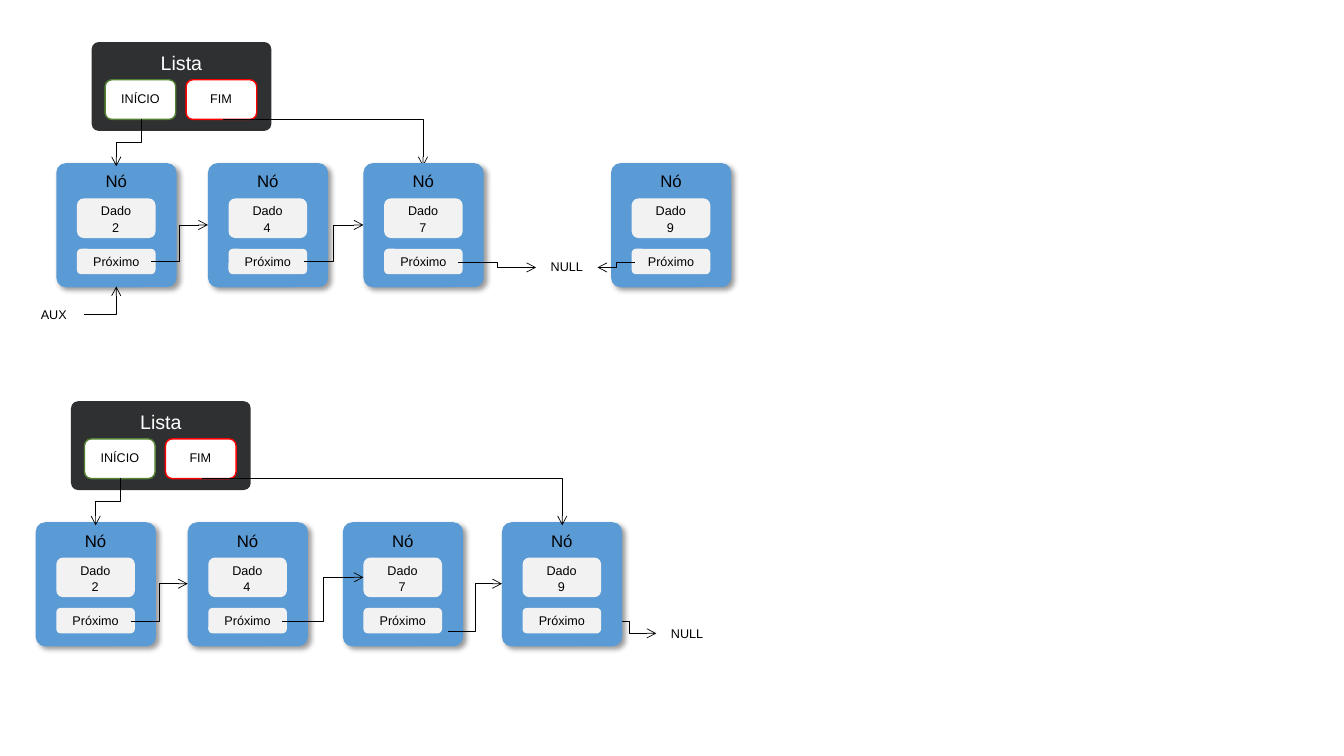
"""Build a slide of two linked lists, before and after a node is appended."""
from lxml import etree
from pptx import Presentation
from pptx import util as u
from pptx.dml.color import RGBColor
from pptx.enum import shapes as kinds, text
from pptx.oxml import parse_xml
from pptx.oxml.ns import nsdecls, qn

BLACK = RGBColor(0x00, 0x00, 0x00)
WHITE = RGBColor(0xFF, 0xFF, 0xFF)
NODE_BLUE = RGBColor(0x5B, 0x9B, 0xD5)
FIELD_GREY = RGBColor(0xF2, 0xF2, 0xF2)
LIST_DARK = RGBColor(0x2F, 0x30, 0x31)
START_GREEN = RGBColor(0x54, 0x82, 0x35)
END_RED = RGBColor(0xFF, 0x00, 0x00)

CORNER, SMALL_CORNER = 0.17, 0.08
FRAME_FORMAT = {"word_wrap": True, "auto_size": text.MSO_AUTO_SIZE.SHAPE_TO_FIT_TEXT}
NODE_SHADOW = (
    f'<a:effectLst {nsdecls("a")}>'
    '<a:outerShdw blurRad="50800" dist="38100" dir="2700000" algn="tl" rotWithShape="0">'
    '<a:srgbClr val="000000"><a:alpha val="40000"/></a:srgbClr>'
    '</a:outerShdw></a:effectLst>'
)

LIST_BOXES = [
    ((0, 0, 4.53, 2.24), LIST_DARK, None, SMALL_CORNER),
    ((2.38, 0.95, 1.78, 1), WHITE, END_RED, CORNER),
    ((0.34, 0.95, 1.78, 1), WHITE, START_GREEN, CORNER),
]
LIST_LABELS = [
    ((2.46, 1.11, 1.6, 0.64), "FIM", 9, BLACK),
    ((0.43, 1.11, 1.6, 0.64), "INÍCIO", 9, BLACK),
    ((1.39, 0.1, 1.75, 0.87), "Lista", 14, WHITE),
]
NODE_BOXES = [
    ((0, 0, 3.03, 3.13), NODE_BLUE, None, SMALL_CORNER),
    ((0.52, 2.16, 1.98, 0.64), FIELD_GREY, None, CORNER),
    ((0.52, 0.89, 1.98, 1), FIELD_GREY, None, CORNER),
]
NODE_LABELS = [
    ((0.96, 0.08, 1.1, 0.77), "Nó", 12, BLACK),
    ((0.62, 2.16, 1.78, 0.64), "Próximo", 9, BLACK),
    ((0.82, 0.89, 1.37, 0.64), "Dado", 9, BLACK),
]
FREE_LABELS = [
    ((13.51, 6.4, 1.55, 0.64), "NULL", 9, BLACK),
    ((0.58, 7.6, 1.55, 0.64), "AUX", 9, BLACK),
    ((16.54, 15.64, 1.55, 0.64), "NULL", 9, BLACK),
]
VALUES = (2, 4, 7, 9)
LISTS = [(2.31, 1.06), (1.79, 10.11)]
NODE_ROWS = [
    (4.11, (1.42, 5.24, 9.16, 15.4)),
    (13.16, (0.9, 4.73, 8.64, 12.65)),
]
LINKS_BELOW_NODES = [
    ("corner", 5.61, 3, 10.66, 4.19),
    ("step", 15.17, 15.65, 16.54, 15.96),
]
LINKS_ABOVE_NODES = [
    ("drop", 3.55, 3, 2.93, 4.19),
    ("step", 3.81, 6.6, 5.24, 5.67),
    ("step", 7.65, 6.6, 9.16, 5.67),
    ("step", 11.55, 6.6, 13.51, 6.74),
    ("step", 16, 6.6, 15.06, 6.74),
    ("corner", 2.12, 7.92, 2.93, 7.22),
    ("drop", 3.03, 12.05, 2.41, 13.24),
    ("step", 3.3, 15.65, 4.73, 14.71),
    ("step", 7.12, 15.65, 9.16, 14.55),
    ("step", 11.3, 15.92, 12.65, 14.71),
    ("corner", 5.1, 12.05, 14.17, 13.24),
]


def add_panel(shapes, left, top, boxes, labels):
    for (x, y, width, height), fill, outline, corner in boxes:
        box = shapes.add_shape(kinds.MSO_SHAPE.ROUNDED_RECTANGLE, u.Cm(left + x),
                               u.Cm(top + y), u.Cm(width), u.Cm(height))
        box.adjustments[0] = corner
        box.shadow.inherit = False
        box.fill.solid()
        box.fill.fore_color.rgb = fill
        if outline is None:
            box.line.fill.background()
        else:
            box.line.color.rgb = outline
            box.line.width = u.Pt(1)
        if fill == NODE_BLUE:
            effects = box._element.spPr.find(qn("a:effectLst"))
            effects.getparent().replace(effects, parse_xml(NODE_SHADOW))
    for (x, y, width, height), words, size, colour in labels:
        frame = shapes.add_textbox(u.Cm(left + x), u.Cm(top + y),
                                   u.Cm(width), u.Cm(height)).text_frame
        for name, value in FRAME_FORMAT.items():
            setattr(frame, name, value)
        line = frame.paragraphs[0]
        line.text = words
        line.alignment = text.PP_ALIGN.CENTER
        for name, value in {"name": "Arial", "size": u.Pt(size)}.items():
            setattr(line.runs[0].font, name, value)
        line.runs[0].font.color.rgb = colour


def add_links(shapes, links):
    for bend, x1, y1, x2, y2 in links:
        if bend == "drop":
            mid_x, mid_y = (x1 + x2) / 2, (y1 + y2) / 2
            half_run, half_rise = (y2 - y1) / 2, (x1 - x2) / 2
            x1, x2 = mid_x - half_run, mid_x + half_run
            y1, y2 = mid_y - half_rise, mid_y + half_rise
        link = shapes.add_connector(kinds.MSO_CONNECTOR.ELBOW,
                                    u.Cm(x1), u.Cm(y1), u.Cm(x2), u.Cm(y2))
        link.line.color.rgb = BLACK
        link.line.width = u.Pt(0.5)
        properties = link._element.spPr
        if bend == "drop":
            properties.find(qn("a:xfrm")).set("rot", "5400000")
        if bend == "corner":
            properties.find(qn("a:prstGeom")).set("prst", "bentConnector2")
        etree.SubElement(properties.find(qn("a:ln")), qn("a:tailEnd"), type="arrow")
        etree.SubElement(properties, qn("a:effectLst"))


deck = Presentation()
deck.slide_width, deck.slide_height = u.Cm(33.87), u.Cm(19.05)
canvas = deck.slides.add_slide(deck.slide_layouts[6]).shapes

for left, top in LISTS:
    add_panel(canvas.add_group_shape().shapes, left, top, LIST_BOXES, LIST_LABELS)

add_links(canvas, LINKS_BELOW_NODES)

for top, lefts in NODE_ROWS:
    for left, value in zip(lefts, VALUES):
        value_label = ((1.15, 1.3, 0.69, 0.64), str(value), 9, BLACK)
        add_panel(canvas.add_group_shape().shapes, left, top,
                  NODE_BOXES, NODE_LABELS + [value_label])

add_links(canvas, LINKS_ABOVE_NODES)
add_panel(canvas, 0, 0, [], FREE_LABELS)

deck.save("out.pptx")
